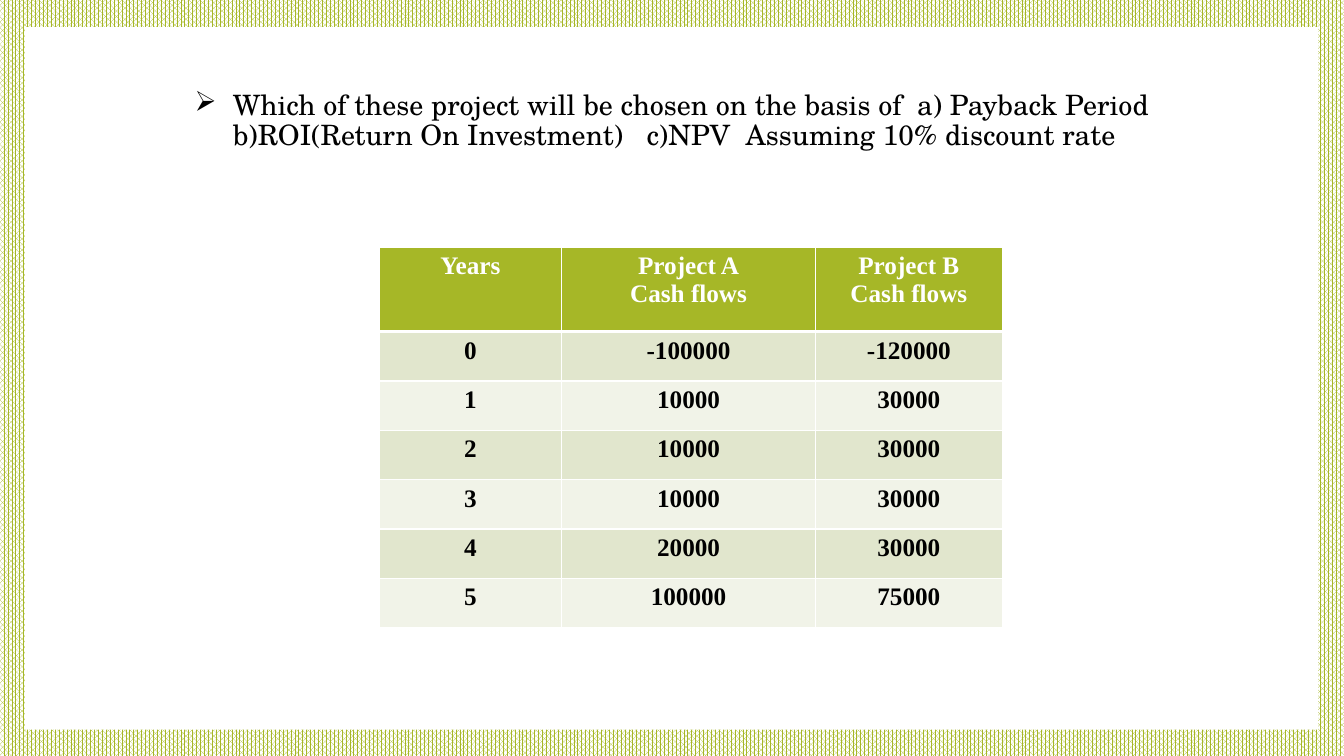
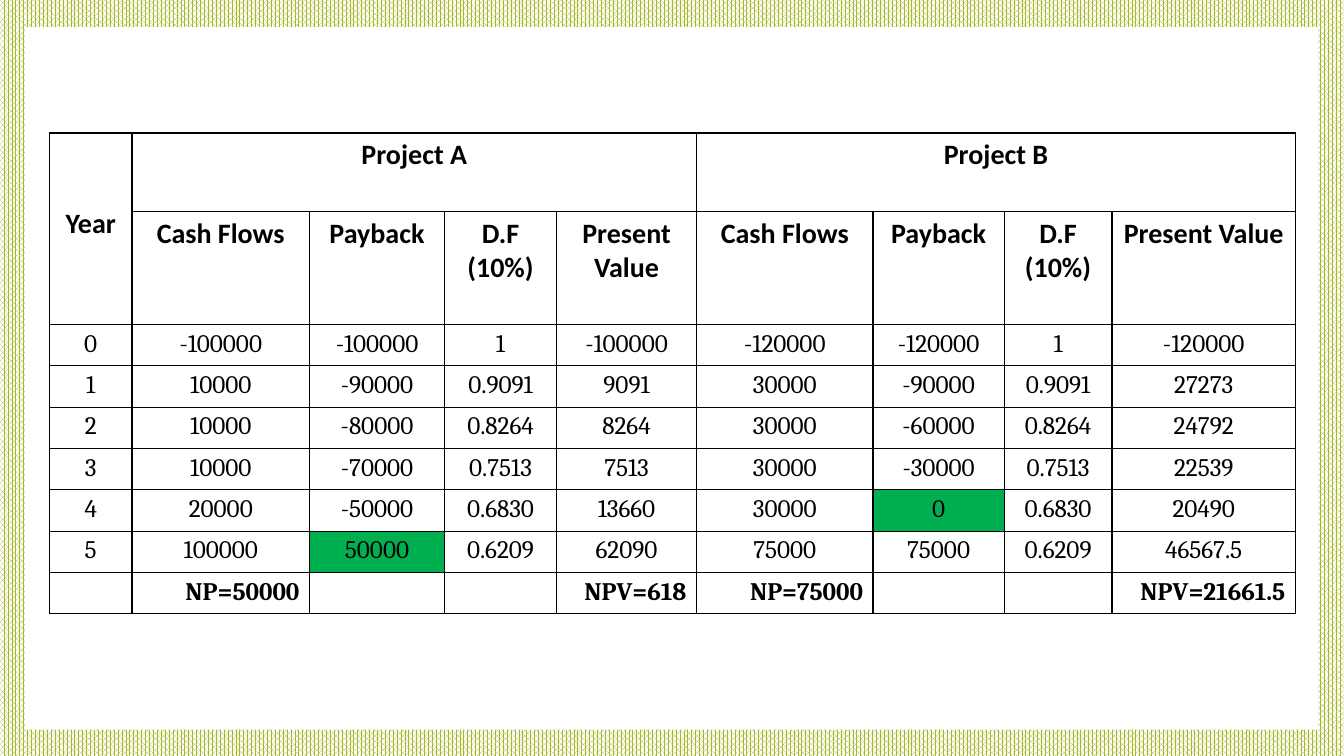
from lxml import etree
from pptx import Presentation
from pptx.dml.color import RGBColor
from pptx.enum.dml import MSO_PATTERN
from pptx.enum.shapes import MSO_SHAPE
from pptx.enum.text import MSO_ANCHOR, MSO_AUTO_SIZE, PP_ALIGN
from pptx.oxml.ns import qn
from pptx.util import Inches, Pt

# Content
QUESTION = ("Which of these project will be chosen on the basis of  a) Payback Period  "
            "b)ROI(Return On Investment)   c)NPV  Assuming 10% discount rate")
CASH_FLOWS = [
    ["Years", "Project A\nCash flows", "Project B\nCash flows"],
    ["0", "-100000", "-120000"],
    ["1", "10000", "30000"],
    ["2", "10000", "30000"],
    ["3", "10000", "30000"],
    ["4", "20000", "30000"],
    ["5", "100000", "75000"],
]
APPRAISAL = [
    ["Year", "Project A", "", "", "", "Project B", "", "", ""],
    ["", "Cash Flows", "Payback", "D.F\n(10%)", "Present Value",
     "Cash Flows", "Payback", "D.F\n(10%)", "Present Value"],
    ["0", "-100000", "-100000", "1", "-100000", "-120000", "-120000", "1", "-120000"],
    ["1", "10000", "-90000", "0.9091", "9091", "30000", "-90000", "0.9091", "27273"],
    ["2", "10000", "-80000", "0.8264", "8264", "30000", "-60000", "0.8264", "24792"],
    ["3", "10000", "-70000", "0.7513", "7513", "30000", "-30000", "0.7513", "22539"],
    ["4", "20000", "-50000", "0.6830", "13660", "30000", "0", "0.6830", "20490"],
    ["5", "100000", "50000", "0.6209", "62090", "75000", "75000", "0.6209", "46567.5"],
    ["", "NP=50000", "", "", "NPV=618", "NP=75000", "", "", "NPV=21661.5"],
]
PAYBACK_CELLS = {(7, 2), (6, 6)}
MERGES = [((0, 0), (1, 0)), ((0, 1), (0, 4)), ((0, 5), (0, 8))]

# Shared look
LIME = RGBColor(0xA6, 0xB7, 0x27)
BAND_DARK = RGBColor(0xE1, 0xE6, 0xCD)
BAND_LIGHT = RGBColor(0xF1, 0xF3, 0xE8)
GREEN = RGBColor(0x00, 0xB0, 0x50)
WHITE = RGBColor(0xFF, 0xFF, 0xFF)
BLACK = RGBColor(0x00, 0x00, 0x00)


def style_run(r, name, size, color, bold=False):
    for key, value in dict(name=name, size=Pt(size), bold=bold).items():
        setattr(r.font, key, value)
    r.font.color.rgb = color


def set_borders(cell, color, widths):
    tc_pr = cell._tc.get_or_add_tcPr()
    for side, width in zip("LRTB", widths):
        ln = etree.SubElement(tc_pr, qn(f"a:ln{side}"), w=str(Pt(width)))
        fill = etree.SubElement(ln, qn("a:solidFill"))
        etree.SubElement(fill, qn("a:srgbClr"), val=str(color))


def add_grid(slide, rows, left, top, widths, heights, line_color, cell_format):
    """Add a table; cell_format(row, col) gives (font values, alignment, fill, borders)."""
    table = slide.shapes.add_table(
        len(rows), len(widths), Inches(left), Inches(top),
        Inches(sum(widths)), Inches(sum(heights))).table
    table.horz_banding = False
    for column, width in zip(table.columns, widths):
        column.width = Inches(width)
    for row, height in zip(table.rows, heights):
        row.height = Inches(height)
    for i, texts in enumerate(rows):
        for j, text in enumerate(texts):
            cell = table.cell(i, j)
            font, align, fill, borders = cell_format(i, j)
            set_borders(cell, line_color, borders)
            if fill is None:
                cell.fill.background()
            else:
                cell.fill.solid()
                cell.fill.fore_color.rgb = fill
            cell.text = text
            for p in cell.text_frame.paragraphs:
                p.alignment = align
                for r in p.runs:
                    style_run(r, *font)
    return table


def cash_flow_format(i, j):
    header = i == 0
    fill = LIME if header else BAND_DARK if i % 2 else BAND_LIGHT
    borders = (1, 1, 3 if i == 1 else 1, 3 if header else 1)
    font = ("Times New Roman", 18, WHITE if header else BLACK, True)
    return font, PP_ALIGN.CENTER, fill, borders


def appraisal_format(i, j):
    total = i == len(APPRAISAL) - 1
    font = ("Calibri", 20, BLACK, True) if i < 2 else ("Cambria", 18, BLACK, total)
    align = PP_ALIGN.RIGHT if total else PP_ALIGN.CENTER
    return font, align, GREEN if (i, j) in PAYBACK_CELLS else None, (1, 1, 1, 1)


def set_up_master(prs, slide):
    master = prs.slide_master
    bg = master.background.fill
    bg.patterned()
    bg.pattern = MSO_PATTERN.PERCENT_75
    bg.fore_color.rgb = LIME
    bg.back_color.rgb = WHITE
    # White page panel, moved from the slide to the back of the master
    panel = slide.shapes.add_shape(MSO_SHAPE.RECTANGLE, Inches(0.25), Inches(0.27),
                                   Inches(12.82), Inches(6.97))
    panel.shadow.inherit = False
    panel.fill.solid()
    panel.fill.fore_color.rgb = WHITE
    panel.line.fill.background()
    master.shapes._spTree.insert(2, panel._element)


def add_question(slide):
    title = slide.shapes.title
    title.left, title.top = Inches(1.83), Inches(0.58)
    title.width, title.height = Inches(11.01), Inches(1.56)
    tf = title.text_frame
    tf.word_wrap = True
    tf.auto_size = MSO_AUTO_SIZE.NONE
    tf.vertical_anchor = MSO_ANCHOR.MIDDLE
    tf.margin_bottom = Inches(0.36)
    p = tf.paragraphs[0]
    p.alignment = PP_ALIGN.LEFT
    p.line_spacing = 0.9
    p_pr = p._p.get_or_add_pPr()
    p_pr.set("marL", str(Inches(0.38)))
    p_pr.set("indent", str(-Inches(0.38)))
    etree.SubElement(p_pr, qn("a:buChar"), char="➢")
    r = p.add_run()
    r.text = QUESTION
    style_run(r, "TeX Gyre Schola", 20, BLACK)


def main():
    prs = Presentation()
    prs.slide_width, prs.slide_height = Inches(13.33), Inches(7.5)
    title_only, blank = prs.slide_layouts[5], prs.slide_layouts[6]

    # Question and cash flows
    s = prs.slides.add_slide(title_only)
    set_up_master(prs, s)
    add_question(s)
    add_grid(s, CASH_FLOWS, 3.76, 2.45, [1.81, 2.52, 1.85], [0.84] + [0.49] * 6,
             WHITE, cash_flow_format)

    # Appraisal of both projects
    s = prs.slides.add_slide(blank)
    table = add_grid(s, APPRAISAL, 0.49, 1.32,
                     [0.82, 1.76, 1.34, 1.11, 1.39, 1.75, 1.3, 1.07, 1.82],
                     [0.78, 1.12] + [0.41] * 7, BLACK, appraisal_format)
    for first, last in MERGES:
        table.cell(*first).merge(table.cell(*last))
    year = table.cell(0, 0)
    year.vertical_anchor = MSO_ANCHOR.MIDDLE
    year.margin_bottom = Inches(0.15)

    prs.save("out.pptx")


if __name__ == "__main__":
    main()
